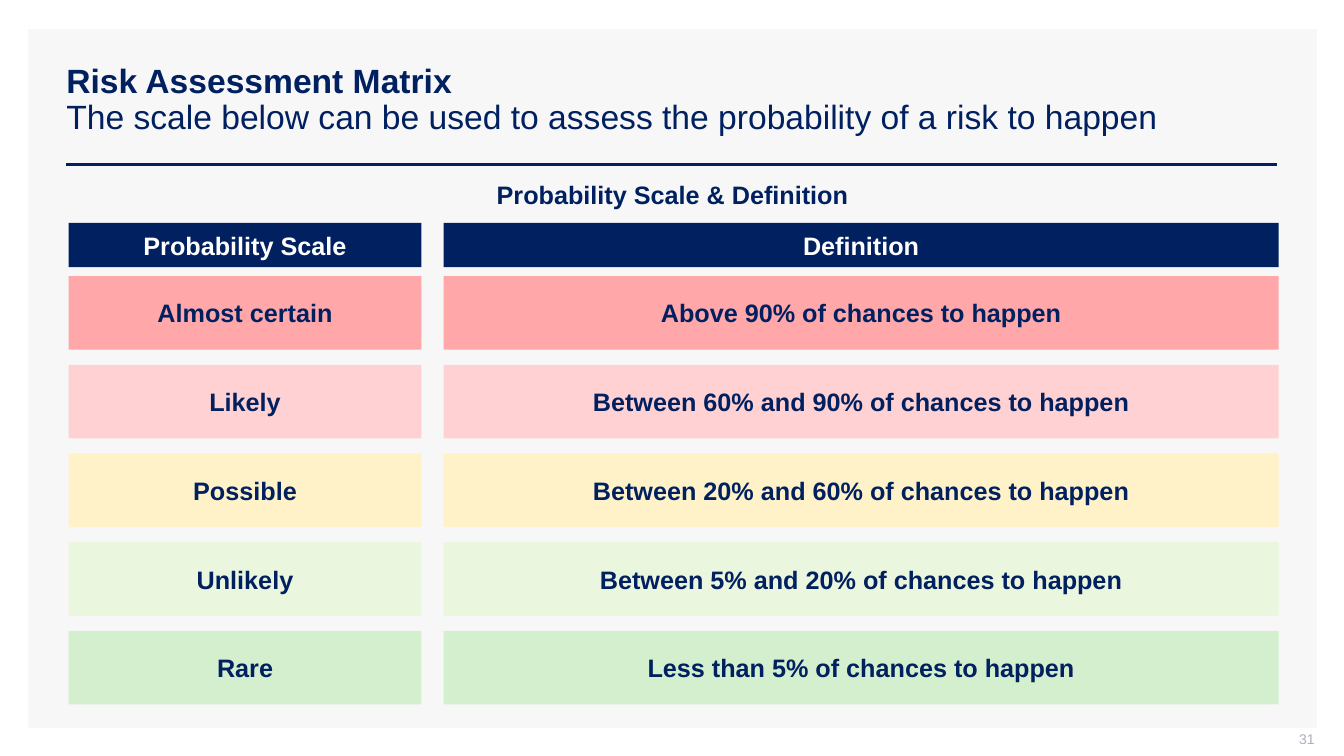
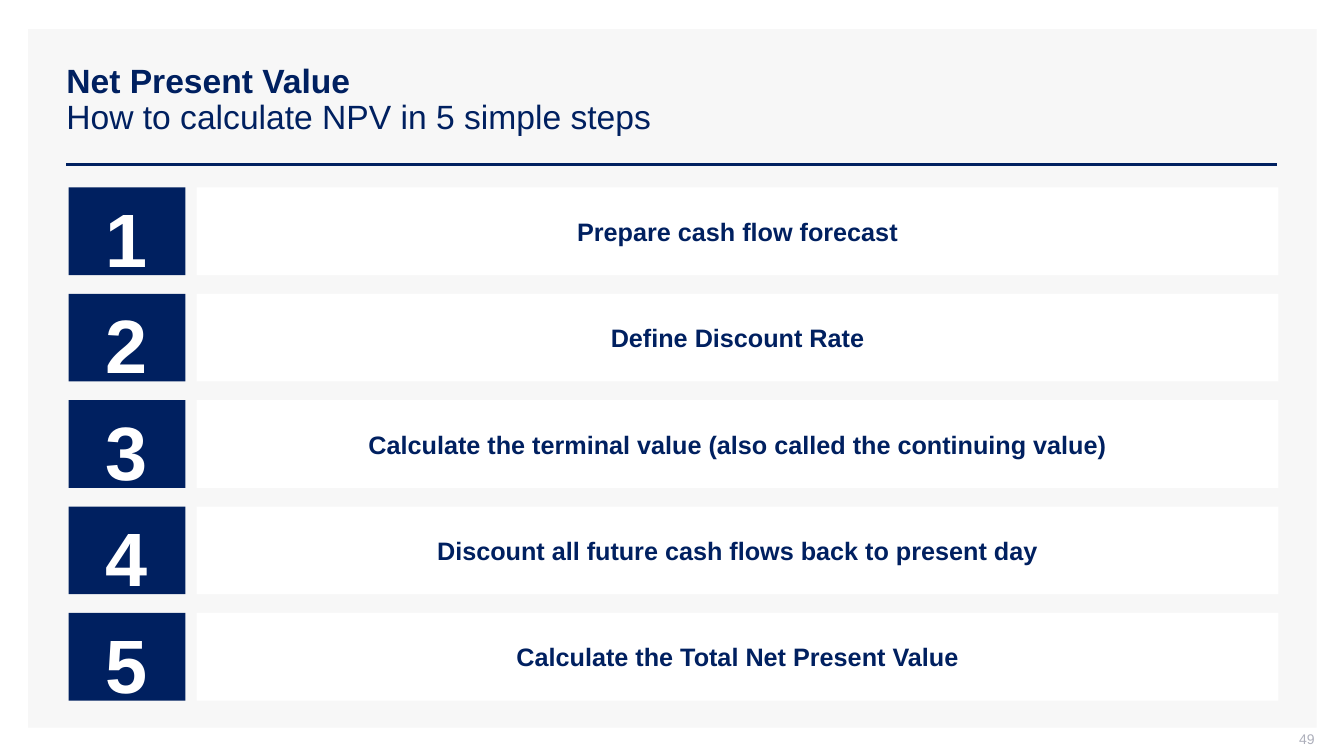
"""Build the risk assessment and net present value slides."""
from pptx import Presentation
from pptx import util as u
from pptx.dml.color import RGBColor
from pptx.enum import shapes, text
from pptx.oxml.ns import qn
from lxml import etree

NAVY = RGBColor(0x00, 0x20, 0x60)
WHITE = RGBColor(0xFF, 0xFF, 0xFF)
PANEL = RGBColor(0xF7, 0xF7, 0xF7)
GREY = RGBColor(0xAD, 0xAF, 0xBB)
RED = RGBColor(0xFF, 0xA7, 0xA9)
PINK = RGBColor(0xFF, 0xD1, 0xD2)
YELLOW = RGBColor(0xFF, 0xF2, 0xC9)
LIME = RGBColor(0xEB, 0xF6, 0xDE)
GREEN = RGBColor(0xD3, 0xEF, 0xCE)

LEFT, RIGHT = 5.1, 95.13
CENTER, END = text.PP_ALIGN.CENTER, text.PP_ALIGN.RIGHT
INSETS = (0.1, 0.05, 0.1, 0.05)


class Deck:
    """Holds the style and the current slide; lengths are percent of the slide."""

    BODY = {"name": "Arial", "size": u.Pt(18), "bold": True}

    def __init__(self):
        self.prs = Presentation()
        self.prs.slide_width = u.Inches(13.33)
        self.prs.slide_height = u.Inches(7.5)
        self.s = None

    def x(self, share):
        return round(self.prs.slide_width * share / 100)

    def y(self, share):
        return round(self.prs.slide_height * share / 100)

    def place(self, left, top, width, height):
        return self.x(left), self.y(top), self.x(width), self.y(height)

    def fill_text(self, sp, runs, color, align=None, insets=INSETS,
                  anchor=text.MSO_ANCHOR.MIDDLE, spacing=None):
        tf = sp.text_frame
        sides = zip(("left", "top", "right", "bottom"), insets)
        frame = {f"margin_{side}": u.Inches(v) for side, v in sides}
        frame.update(word_wrap=True, vertical_anchor=anchor)
        for key, value in frame.items():
            setattr(tf, key, value)
        p = tf.paragraphs[0]
        p.alignment, p.line_spacing = align, spacing
        for i, (words, style) in enumerate(runs):
            if i:
                p.add_line_break()
            r = p.add_run()
            r.text = words
            for key, value in {**self.BODY, **style}.items():
                setattr(r.font, key, value)
            r.font.color.rgb = color

    def label(self, place, runs, color, **layout):
        sp = self.s.shapes.add_textbox(*self.place(*place))
        self.fill_text(sp, runs, color, **layout)

    def box(self, place, fill, words="", color=NAVY, size=18, insets=INSETS):
        sp = self.s.shapes.add_shape(shapes.MSO_SHAPE.RECTANGLE, *self.place(*place))
        sp.shadow.inherit = False
        sp.fill.solid()
        sp.fill.fore_color.rgb = fill
        sp.line.fill.background()
        if words:
            self.fill_text(sp, [(words, {"size": u.Pt(size)})], color, CENTER, insets)

    def rule(self, left, right, top):
        line = self.s.shapes.add_connector(
            shapes.MSO_CONNECTOR.STRAIGHT,
            self.x(left), self.y(top), self.x(right), self.y(top))
        line.line.color.rgb = NAVY
        line.line.width = u.Pt(2)
        etree.SubElement(line._element.spPr, qn("a:effectLst"))

    def slide(self, title, subtitle, number):
        self.s = self.prs.slides.add_slide(self.prs.slide_layouts[6])
        self.box((2.1, 3.87, 95.87, 92.4), PANEL)
        self.rule(4.95, 95.05, 21.73)
        big = {"size": u.Pt(24)}
        self.label((4.2, 5.33, 90.85, 15.87),
                   [(title, big), (subtitle, {**big, "bold": False})],
                   NAVY, spacing=0.9)
        self.label((75.32, 96.67, 22.5, 2.8),
                   [(number, {"size": u.Pt(10), "bold": False})],
                   GREY, align=END, insets=(0.1, 0, 0, 0.05))

    def row(self, top, height, split, gap, first, second):
        start = split + gap
        self.box((LEFT, top, split - LEFT, height), **first)
        self.box((start, top, RIGHT - start, height), **second)


def risk_matrix(deck):
    deck.slide("Risk Assessment Matrix",
               "The scale below can be used to assess the probability of a risk to happen", "31")
    deck.label((26.78, 23.07, 46.51, 5.33), [("Probability Scale & Definition", {})],
               NAVY, align=CENTER, anchor=text.MSO_ANCHOR.TOP)
    columns = {"split": 31.36, "gap": 1.65}
    head = {"fill": NAVY, "color": WHITE}
    deck.row(29.47, 5.87, **columns, first={"words": "Probability Scale", **head},
             second={"words": "Definition", **head})
    levels = [
        ("Almost certain", "Above 90% of chances to happen", RED),
        ("Likely", "Between 60% and 90% of chances to happen", PINK),
        ("Possible", "Between 20% and 60% of chances to happen", YELLOW),
        ("Unlikely", "Between 5% and 20% of chances to happen", LIME),
        ("Rare", "Less than 5% of chances to happen", GREEN),
    ]
    for i, (name, meaning, fill) in enumerate(levels):
        deck.row(36.53 + 11.73 * i, 9.73, **columns,
                 first={"words": name, "fill": fill},
                 second={"words": meaning, "fill": fill})


def npv_steps(deck):
    deck.slide("Net Present Value", "How to calculate NPV in 5 simple steps", "49")
    steps = [
        "Prepare cash flow forecast",
        "Define Discount Rate",
        "Calculate the terminal value (also called the continuing value)",
        "Discount all future cash flows back to present day",
        "Calculate the Total Net Present Value",
    ]
    for i, step in enumerate(steps):
        deck.row(24.8 + 14.07 * i, 11.6, split=13.8, gap=0.83,
                 first={"words": str(i + 1), "fill": NAVY, "color": WHITE,
                        "size": 54, "insets": (0, 0.12, 0, 0)},
                 second={"words": step, "fill": WHITE})


def main():
    deck = Deck()
    risk_matrix(deck)
    npv_steps(deck)
    deck.prs.save("out.pptx")


if __name__ == "__main__":
    main()
